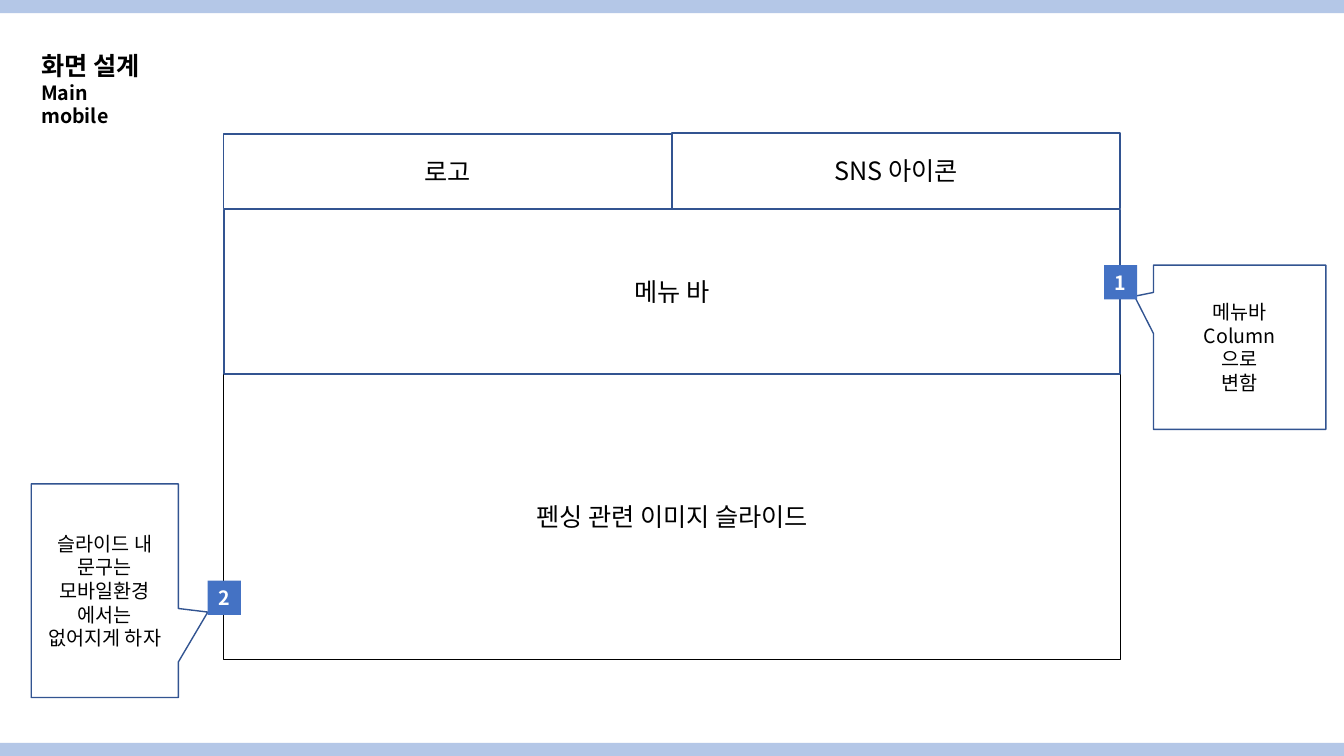
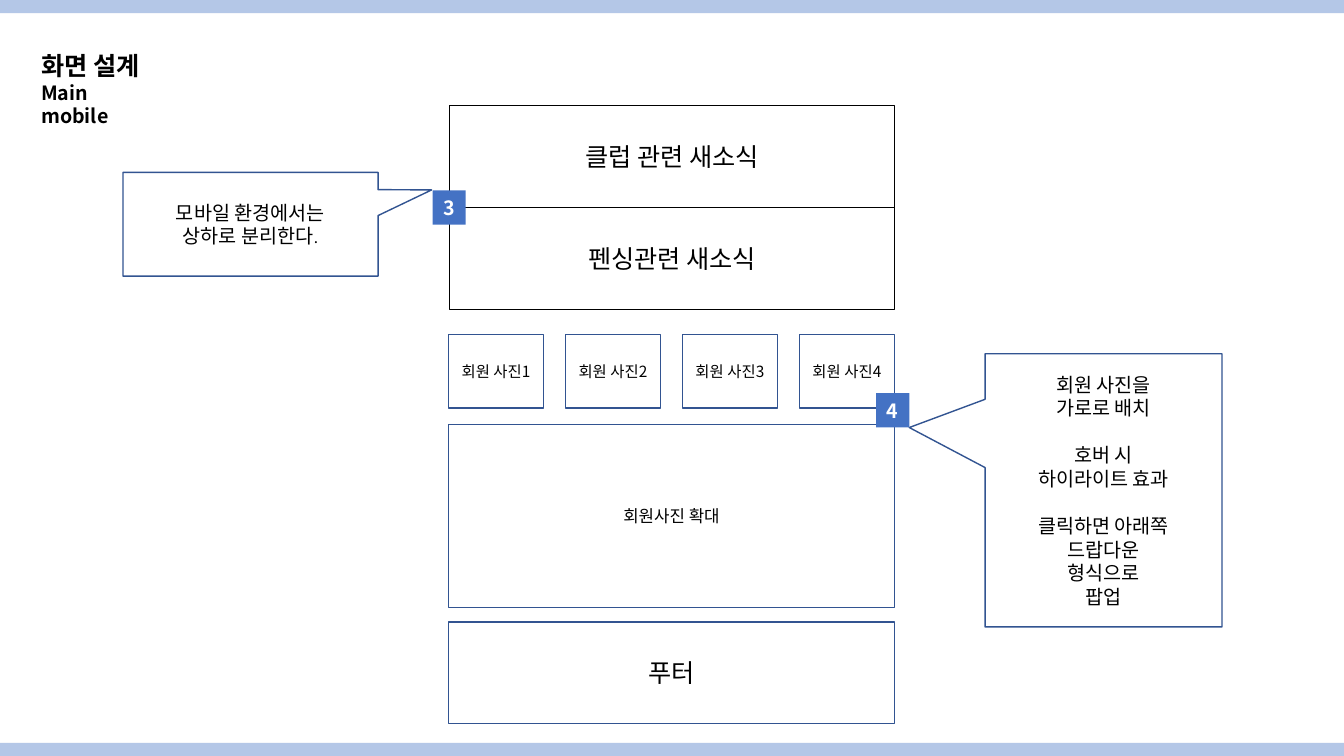
from dataclasses import dataclass

from pptx import Presentation
from pptx.dml.color import RGBColor
from pptx.enum.shapes import MSO_SHAPE
from pptx.enum.text import MSO_ANCHOR, PP_ALIGN
from pptx.oxml.ns import qn
from pptx.shapes.autoshape import Shape
from pptx.slide import Slide
from pptx.text.text import TextFrame
from pptx.util import Inches, Pt

RECTANGLE = MSO_SHAPE.RECTANGLE
CALLOUT = MSO_SHAPE.RECTANGULAR_CALLOUT
LEFT, CENTER = PP_ALIGN.LEFT, PP_ALIGN.CENTER
TOP, MIDDLE = MSO_ANCHOR.TOP, MSO_ANCHOR.MIDDLE

FONT = "Noto Sans CJK KR"
COLORS = {
    "band": "B4C7E7",
    "badge": "4472C4",
    "outline": "325491",
    "black": "000000",
    "white": "FFFFFF",
}
SLIDE_WIDTH, SLIDE_HEIGHT = 13.33, 7.5
BAND_HEIGHT = 0.13
BADGE_WIDTH, BADGE_HEIGHT = 0.33, 0.34
LINE_HEIGHT = 1.2
BLANK_LINE = 16.8


@dataclass(frozen=True)
class Box:
    """Position and size in inches."""

    left: float
    top: float
    width: float
    height: float


@dataclass(frozen=True)
class Line:
    """One paragraph; the tail is set at its own size."""

    text: str
    size: float = 14
    before: float = 0
    tail: str = ""
    tail_size: float = 11


@dataclass(frozen=True)
class Panel:
    """A labelled region of the wireframe."""

    box: Box
    label: str
    size: float = 18
    outline: str = "outline"
    weight: float = 1


@dataclass(frozen=True)
class Note:
    """A callout with its numbered badge."""

    number: int
    badge_left: float
    badge_top: float
    box: Box
    pointer: tuple[float, float]
    lines: tuple[Line, ...]


@dataclass(frozen=True)
class Screen:
    """The panels and notes of one slide."""

    panels: tuple[Panel, ...]
    notes: tuple[Note, ...]


TITLE = (Line("화면 설계", 18), Line("Main"), Line("mobile"))

HOME_LEFT, HOME_WIDTH = 2.22, 8.89
NEWS_LEFT, NEWS_WIDTH, NEWS_HEIGHT = 4.46, 4.41, 1.01
MEMBER_LEFT, MEMBER_WIDTH = 4.45, 4.42
PHOTO_COUNT, PHOTO_WIDTH, PHOTO_HEIGHT = 4, 0.94, 0.73
PHOTO_STEP = (MEMBER_WIDTH - PHOTO_WIDTH) / (PHOTO_COUNT - 1)

SCREENS = (
    Screen(
        panels=(
            Panel(Box(HOME_LEFT, 3.71, HOME_WIDTH, 2.83), "펜싱 관련 이미지 슬라이드",
                  outline="black", weight=0.75),
            Panel(Box(HOME_LEFT, 1.33, HOME_WIDTH / 2, 0.74), "로고"),
            Panel(Box(HOME_LEFT, 2.08, HOME_WIDTH, 1.63), "메뉴 바"),
            Panel(Box(HOME_LEFT + HOME_WIDTH / 2, 1.32, HOME_WIDTH / 2, 0.75), "SNS 아이콘"),
        ),
        notes=(
            Note(1, 10.95, 2.63, Box(11.44, 2.63, 1.71, 1.63), (-0.61, -0.31),
                 (Line("메뉴바"), Line("Column"), Line("으로"), Line("변함"))),
            Note(2, 2.06, 5.76, Box(0.31, 4.8, 1.46, 2.12), (0.7, 0.1),
                 (Line("슬라이드 내"), Line("문구는"), Line("모바일환경"),
                  Line("에서는"), Line("없어지게 하자"))),
        ),
    ),
    Screen(
        panels=(
            *(Panel(Box(NEWS_LEFT, 1.05 + row * NEWS_HEIGHT, NEWS_WIDTH, NEWS_HEIGHT), label,
                    outline="black", weight=0.75)
              for row, label in enumerate(("클럽 관련 새소식", "펜싱관련 새소식"))),
            *(Panel(Box(MEMBER_LEFT + index * PHOTO_STEP, 3.32, PHOTO_WIDTH, PHOTO_HEIGHT),
                    f"회원 사진{index + 1}", size=11)
              for index in range(PHOTO_COUNT)),
            Panel(Box(MEMBER_LEFT, 4.21, MEMBER_WIDTH, 1.82), "회원사진 확대", size=12),
            Panel(Box(MEMBER_LEFT, 6.17, MEMBER_WIDTH, 1.01), "푸터"),
        ),
        notes=(
            Note(3, 4.29, 1.89, Box(1.22, 1.71, 2.53, 1.03), (0.71, -0.33),
                 (Line("모바일 환경에서는"), Line("상하로 분리한다", tail="."))),
            Note(4, 8.69, 3.9, Box(9.77, 3.51, 2.35, 2.71), (-0.82, -0.23),
                 (Line("회원 사진을"), Line("가로로 배치"),
                  Line("호버 시", before=BLANK_LINE), Line("하이라이트 효과"),
                  Line("클릭하면 아래쪽", before=BLANK_LINE), Line("드랍다운"),
                  Line("형식으로"), Line("팝업"))),
        ),
    ),
)


def color(name: str) -> RGBColor:
    """Return a palette colour."""
    return RGBColor.from_string(COLORS[name])


def place(box: Box) -> tuple[Inches, Inches, Inches, Inches]:
    """Return a box as lengths."""
    return Inches(box.left), Inches(box.top), Inches(box.width), Inches(box.height)


def write_text(frame: TextFrame, lines: tuple[Line, ...], *, ink: str = "black",
               bold: bool = False, align: PP_ALIGN = CENTER,
               anchor: MSO_ANCHOR = MIDDLE, margin: float = 0) -> None:
    """Fill a text frame with formatted paragraphs."""
    frame.word_wrap = True
    frame.vertical_anchor = anchor
    frame.margin_left = frame.margin_right = Inches(margin)
    frame.margin_top = frame.margin_bottom = Inches(margin / 2)
    for index, line in enumerate(lines):
        paragraph = frame.add_paragraph() if index else frame.paragraphs[0]
        paragraph.alignment = align
        paragraph.line_spacing = Pt(line.size * LINE_HEIGHT)
        paragraph.space_before = Pt(line.before)
        for text, size in ((line.text, line.size), (line.tail, line.tail_size)):
            if not text:
                continue
            run = paragraph.add_run()
            run.text = text
            run.font.size = Pt(size)
            run.font.bold = bold
            run.font.color.rgb = color(ink)
            run.font.name = FONT
            east_asian = run.font._element.makeelement(qn("a:ea"), {"typeface": FONT})
            run.font._element.append(east_asian)


def add_box(slide: Slide, box: Box, fill: str, outline: str | None = None,
            weight: float = 1, kind: MSO_SHAPE = RECTANGLE) -> Shape:
    """Draw a filled preset shape, outlined on request."""
    shape = slide.shapes.add_shape(kind, *place(box))
    shape.shadow.inherit = False
    shape.fill.solid()
    shape.fill.fore_color.rgb = color(fill)
    if outline:
        shape.line.color.rgb = color(outline)
        shape.line.width = Pt(weight)
    else:
        shape.line.fill.background()
    return shape


def add_frame(slide: Slide) -> None:
    """Draw the bands and title that every slide shares."""
    for top in (0, SLIDE_HEIGHT - BAND_HEIGHT):
        add_box(slide, Box(0, top, SLIDE_WIDTH, BAND_HEIGHT), "band")
    title = slide.shapes.add_textbox(*place(Box(0.31, 0.45, 1.56, 0.88)))
    write_text(title.text_frame, TITLE, bold=True, align=LEFT, anchor=TOP, margin=0.1)


def add_panel(slide: Slide, panel: Panel) -> None:
    """Draw a labelled wireframe region."""
    shape = add_box(slide, panel.box, "white", panel.outline, panel.weight)
    write_text(shape.text_frame, (Line(panel.label, panel.size),))


def add_note(slide: Slide, note: Note) -> None:
    """Draw a callout and its badge."""
    callout = add_box(slide, note.box, "white", "outline", kind=CALLOUT)
    for index, value in enumerate(note.pointer):
        callout.adjustments[index] = value
    write_text(callout.text_frame, note.lines)
    badge_box = Box(note.badge_left, note.badge_top, BADGE_WIDTH, BADGE_HEIGHT)
    badge = add_box(slide, badge_box, "badge")
    write_text(badge.text_frame, (Line(str(note.number)),), ink="white", bold=True)


def main() -> None:
    """Build and save the presentation."""
    presentation = Presentation()
    presentation.slide_width = Inches(SLIDE_WIDTH)
    presentation.slide_height = Inches(SLIDE_HEIGHT)
    for screen in SCREENS:
        slide = presentation.slides.add_slide(presentation.slide_layouts[6])
        add_frame(slide)
        for panel in screen.panels:
            add_panel(slide, panel)
        for note in screen.notes:
            add_note(slide, note)
    presentation.save("out.pptx")


if __name__ == "__main__":
    main()
